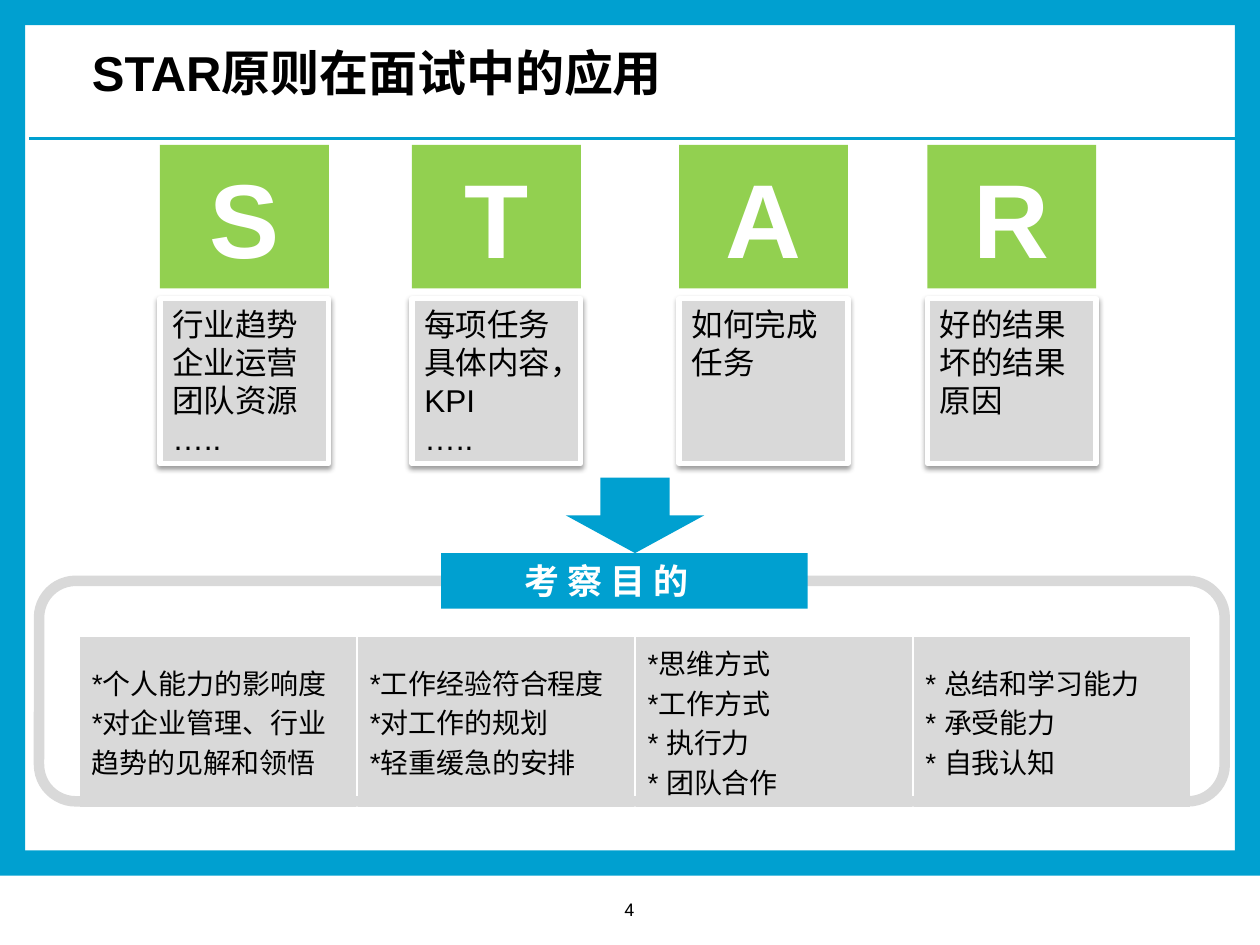
from dataclasses import dataclass
from lxml import etree
from pptx import Presentation
from pptx import util as u
from pptx.dml.color import RGBColor
from pptx.enum import shapes, text
from pptx.oxml import parse_xml
from pptx.oxml.ns import qn

NS = 'xmlns:a="http://schemas.openxmlformats.org/drawingml/2006/main"'
BLUE, GREEN, GRAY, WHITE, BLACK = "00A0D0", "92D050", "D9D9D9", "FFFFFF", "000000"
KIND = shapes.MSO_SHAPE
ALIGN, ANCHOR = text.PP_ALIGN, text.MSO_ANCHOR
COLS, ROWS = 100, 75
UNIT = u.Inches(0.1)


@dataclass
class Box:
    col: float
    row: float
    wide: float
    high: float

    def emu(self) -> list[int]:
        return [round(n * UNIT) for n in (self.col, self.row, self.wide, self.high)]


@dataclass
class Style:
    size: float
    color: str = BLACK
    bold: bool = False
    align: ALIGN = ALIGN.LEFT
    pitch: float | None = None
    font: str = "Arial"


@dataclass
class Step:
    letter: str
    col: float
    note: str
    aim: str


STEPS = [
    Step("S", 12.7, "行业趋势\n企业运营\n团队资源\n…..",
         "*个人能力的影响度\n*对企业管理、行业趋势的见解和领悟"),
    Step("T", 32.7, "每项任务具体内容，KPI\n…..",
         "*工作经验符合程度\n*对工作的规划\n*轻重缓急的安排"),
    Step("A", 53.9, "如何完成任务",
         "*思维方式\n*工作方式\n* 执行力\n* 团队合作"),
    Step("R", 73.6, "好的结果\n坏的结果\n原因",
         "* 总结和学习能力\n* 承受能力\n* 自我认知"),
]


def paint(part, color: str) -> None:
    part.solid()
    part.fore_color.rgb = RGBColor.from_string(color)


def write(frame, words: str, style: Style) -> None:
    frame.text = words
    for para in frame.paragraphs:
        para.alignment = style.align
        if style.pitch:
            para.line_spacing = u.Pt(style.pitch)
        for run in para.runs:
            font = run.font
            font.size, font.bold, font.name = u.Pt(style.size), style.bold, style.font
            font.color.rgb = RGBColor.from_string(style.color)


def edge(shape, color: str, width: float) -> None:
    paint(shape.line.fill, color)
    shape.line.width = u.Pt(width)


def draw(slide, box: Box, fill: str | None, kind=KIND.RECTANGLE):
    shape = slide.shapes.add_shape(kind, *box.emu())
    shape.shadow.inherit = False
    shape.line.fill.background()
    if fill:
        paint(shape.fill, fill)
    else:
        shape.fill.background()
    return shape


def shade(shape) -> None:
    glow = shape._element.spPr.find(qn("a:effectLst"))
    glow.append(parse_xml(
        f'<a:outerShdw {NS} blurRad="{u.Pt(3.1)}" dist="{u.Pt(1.6)}" dir="5400000" '
        f'rotWithShape="0"><a:srgbClr val="{BLACK}"><a:alpha val="38000"/>'
        f'</a:srgbClr></a:outerShdw>'))


def frame(slide) -> None:
    for box in (Box(0, 0, COLS, 2), Box(0, 0, 2, 69),
                Box(98, 0, 2, 69), Box(0, 67.5, COLS, 2)):
        draw(slide, box, BLUE)
    x, y, wide, _ = Box(2.3, 11, 95.8, 0).emu()
    rule = slide.shapes.add_connector(shapes.MSO_CONNECTOR.STRAIGHT, x, y, x + wide, y)
    edge(rule, BLUE, 1.5)
    etree.SubElement(rule._element.spPr, qn("a:effectLst"))


def head(slide) -> None:
    title = slide.shapes.title
    title.left, title.top, title.width, title.height = Box(6.3, 2.9, 88.2, 5.7).emu()
    paint(title.fill, WHITE)
    edge(title, WHITE, 2)
    write(title.text_frame, "STAR原则在面试中的应用", Style(28, bold=True, pitch=33.6))
    title.text_frame.auto_size = text.MSO_AUTO_SIZE.NONE
    title.text_frame.vertical_anchor = ANCHOR.TOP


def aims(slide) -> None:
    grid = slide.shapes.add_table(1, len(STEPS), *Box(6.3, 50.5, 88.2, 13.6).emu()).table
    for cell, step in zip(grid.rows[0].cells, STEPS):
        write(cell.text_frame, step.aim, Style(16, pitch=22.7))
        cell.vertical_anchor = ANCHOR.MIDDLE
        paint(cell.fill, GRAY)
        for spot, side in enumerate("LRTB"):
            cell._tc.get_or_add_tcPr().insert(spot, parse_xml(
                f'<a:ln{side} {NS} w="{u.Pt(1)}"><a:solidFill>'
                f'<a:srgbClr val="{WHITE}"/></a:solidFill></a:ln{side}>'))


def column(slide, step: Step) -> None:
    note = draw(slide, Box(step.col, 23.7, 13.4, 13.1), GRAY)
    edge(note, WHITE, 3)
    shade(note)
    write(note.text_frame, step.note, Style(18, pitch=21.7))
    note.text_frame.vertical_anchor = ANCHOR.TOP
    tile = draw(slide, Box(step.col, 11.5, 13.4, 11.4), GREEN)
    write(tile.text_frame, step.letter, Style(60, WHITE, True, ALIGN.CENTER))
    tile.text_frame.vertical_anchor = ANCHOR.MIDDLE


def goal(slide) -> None:
    ring = draw(slide, Box(3.1, 46.1, 94.1, 17.5), None, KIND.ROUNDED_RECTANGLE)
    edge(ring, GRAY, 6)
    label = draw(slide, Box(35, 43.9, 29.1, 4.4), BLUE)
    write(label.text_frame, "考 察 目 的", Style(20, WHITE, True, pitch=24))
    label.text_frame.margin_left = u.Inches(0.66)
    label.text_frame.vertical_anchor = ANCHOR.TOP
    draw(slide, Box(44.9, 37.9, 11, 6), BLUE, KIND.DOWN_ARROW)


def main() -> None:
    deck = Presentation()
    deck.slide_width, deck.slide_height = COLS * UNIT, ROWS * UNIT
    slide = deck.slides.add_slide(deck.slide_layouts[5])
    frame(slide)
    head(slide)
    aims(slide)
    page = slide.shapes.add_textbox(*Box(46.1, 70.9, 7.7, 2.6).emu()).text_frame
    page.word_wrap = True
    page.vertical_anchor = ANCHOR.MIDDLE
    write(page, "4", Style(10, align=ALIGN.CENTER, font="Roboto"))
    for step in STEPS:
        column(slide, step)
    goal(slide)
    deck.save("out.pptx")


if __name__ == "__main__":
    main()
